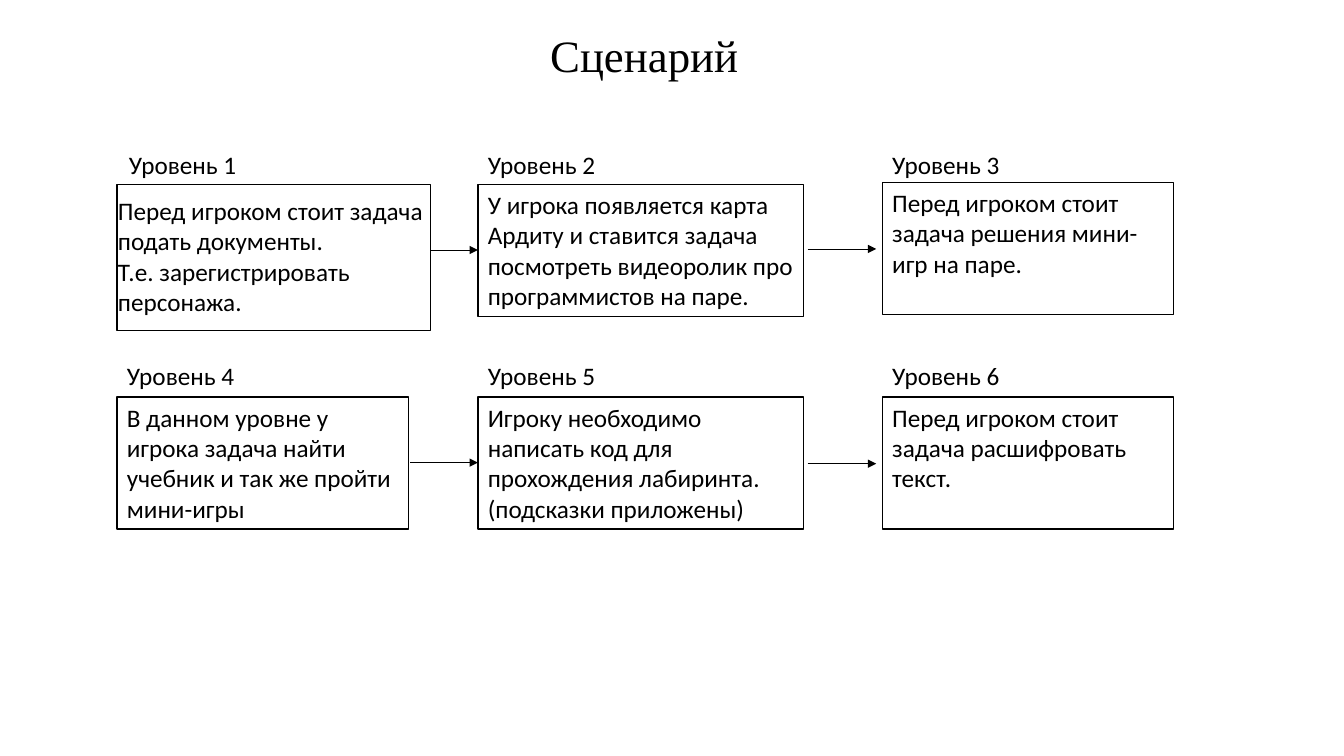
"""Build the slide with the six levels of the game scenario."""
from dataclasses import dataclass

from lxml.etree import SubElement
from pptx import Presentation
from pptx.dml.color import RGBColor
from pptx.enum.shapes import MSO_CONNECTOR as Line, MSO_SHAPE as Form
from pptx.enum.text import MSO_ANCHOR as Anchor, MSO_AUTO_SIZE as Fit, PP_ALIGN as Align
from pptx.oxml.ns import qn
from pptx.util import Inches, Pt

INK, PAPER = "000000", "FFFFFF"
BODY = {"name": "Calibri", "size": Pt(18)}
HEAD = {"name": "Times New Roman", "size": Pt(32)}
TAGS = (1.43, 3.53)


@dataclass
class Level:
    left: float
    top: float
    width: float
    height: float
    lines: tuple[str, ...]
    pad: tuple[float, float, float] = (0.1, 0.05, 0.1)
    shift: float = 0


@dataclass
class Arrow:
    start: float
    end: float
    y: float


LEVELS = (
    Level(1.16, 1.83, 3.11, 1.45,
          ("Перед игроком стоит задача подать документы.",
           "Т.е. зарегистрировать персонажа."), (0.01, 0.11, 0), 0.02),
    Level(4.74, 1.83, 3.23, 1.31,
          ("У игрока появляется карта Ардиту и ставится задача посмотреть "
           "видеоролик про программистов на паре.",)),
    Level(8.75, 1.81, 2.89, 1.31,
          ("Перед игроком стоит задача решения мини-игр на паре.",)),
    Level(1.16, 3.94, 2.89, 1.31,
          ("В данном уровне у игрока задача найти учебник и так же пройти мини-игры",)),
    Level(4.74, 3.94, 3.23, 1.31,
          ("Игроку необходимо написать код для прохождения лабиринта.",
           "(подсказки приложены)")),
    Level(8.75, 3.94, 2.89, 1.31,
          ("Перед игроком стоит задача расшифровать текст.",)),
)
ARROWS = (
    Arrow(4.27, 4.74, 2.48),
    Arrow(8.01, 8.69, 2.47),
    Arrow(4.07, 4.74, 4.59),
    Arrow(8.01, 8.69, 4.6),
)


def paint(color, code: str) -> None:
    color.rgb = RGBColor.from_string(code)


def write(shape, lines: tuple[str, ...], style: dict, align=Align.LEFT) -> None:
    frame = shape.text_frame
    frame.text = "\n".join(lines)
    frame.word_wrap = True
    frame.auto_size = Fit.NONE
    frame.vertical_anchor = Anchor.TOP
    for para in frame.paragraphs:
        para.alignment = align
        for run in para.runs:
            for key, value in style.items():
                setattr(run.font, key, value)
            paint(run.font.color, INK)


def add_title(slide, text: str) -> None:
    title = slide.shapes.title
    place = {"left": 3.74, "top": 0.22, "width": 5.3, "height": 0.64}
    for key, value in place.items():
        setattr(title, key, Inches(value))
    write(title, (text,), HEAD, Align.CENTER)


def add_level(slide, index: int, level: Level) -> None:
    tag = slide.shapes.add_textbox(Inches(level.left + level.shift), Inches(TAGS[index // 3]),
                                   Inches(1.95), Inches(0.4))
    write(tag, (f"Уровень {index + 1}",), BODY)
    box = slide.shapes.add_shape(Form.RECTANGLE, Inches(level.left), Inches(level.top),
                                 Inches(level.width), Inches(level.height))
    box.shadow.inherit = False
    box.fill.solid()
    paint(box.fill.fore_color, PAPER)
    paint(box.line.color, INK)
    box.line.width = Pt(1)
    write(box, level.lines, BODY)
    for side, pad in zip(("left", "top", "right"), level.pad):
        setattr(box.text_frame, f"margin_{side}", Inches(pad))


def add_arrow(slide, arrow: Arrow) -> None:
    y = Inches(arrow.y)
    link = slide.shapes.add_connector(Line.STRAIGHT, Inches(arrow.start), y,
                                      Inches(arrow.end), y)
    paint(link.line.color, INK)
    link.line.width = Pt(0.5)
    SubElement(link.line._get_or_add_ln(), qn("a:tailEnd"), type="triangle")
    SubElement(link._element.spPr, qn("a:effectLst"))


def main() -> None:
    deck = Presentation()
    deck.slide_width, deck.slide_height = Inches(13.33), Inches(7.5)
    slide = deck.slides.add_slide(deck.slide_layouts[5])
    add_title(slide, "Сценарий")
    for index, level in enumerate(LEVELS):
        add_level(slide, index, level)
    for arrow in ARROWS:
        add_arrow(slide, arrow)
    deck.save("out.pptx")


if __name__ == "__main__":
    main()
